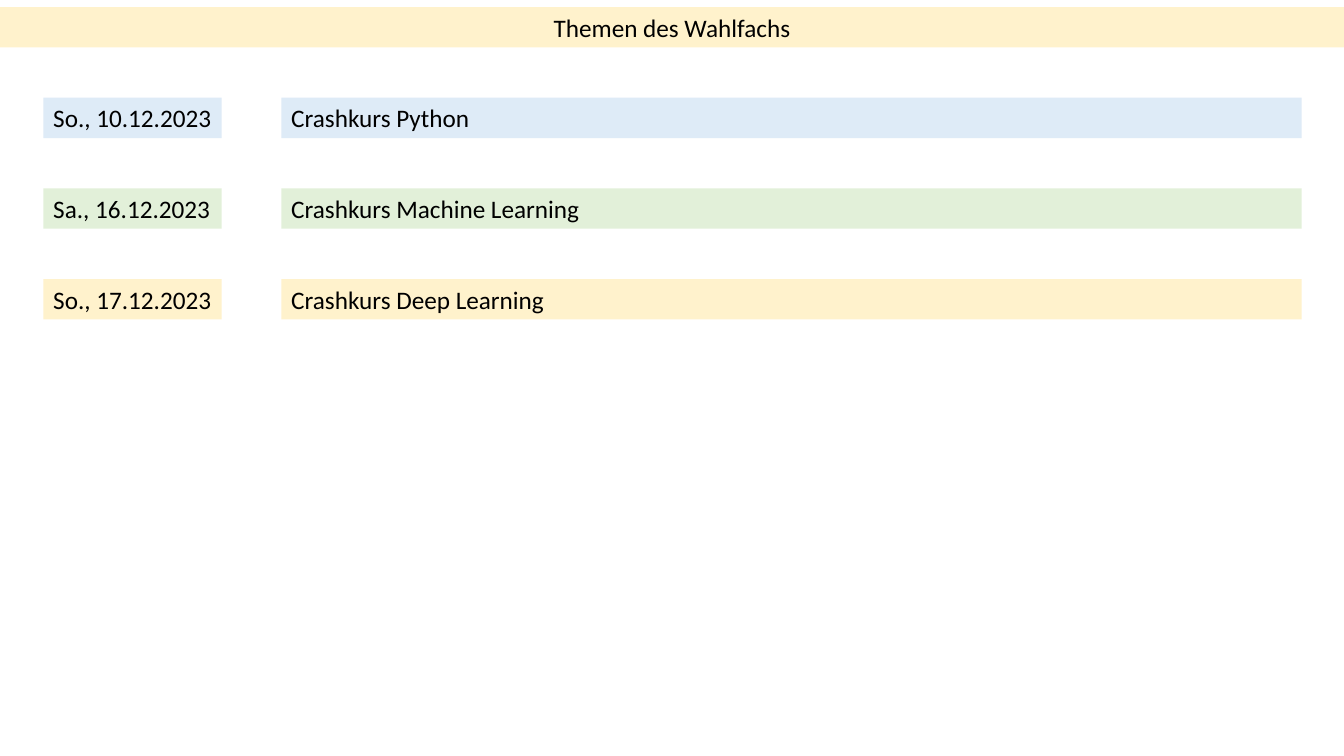
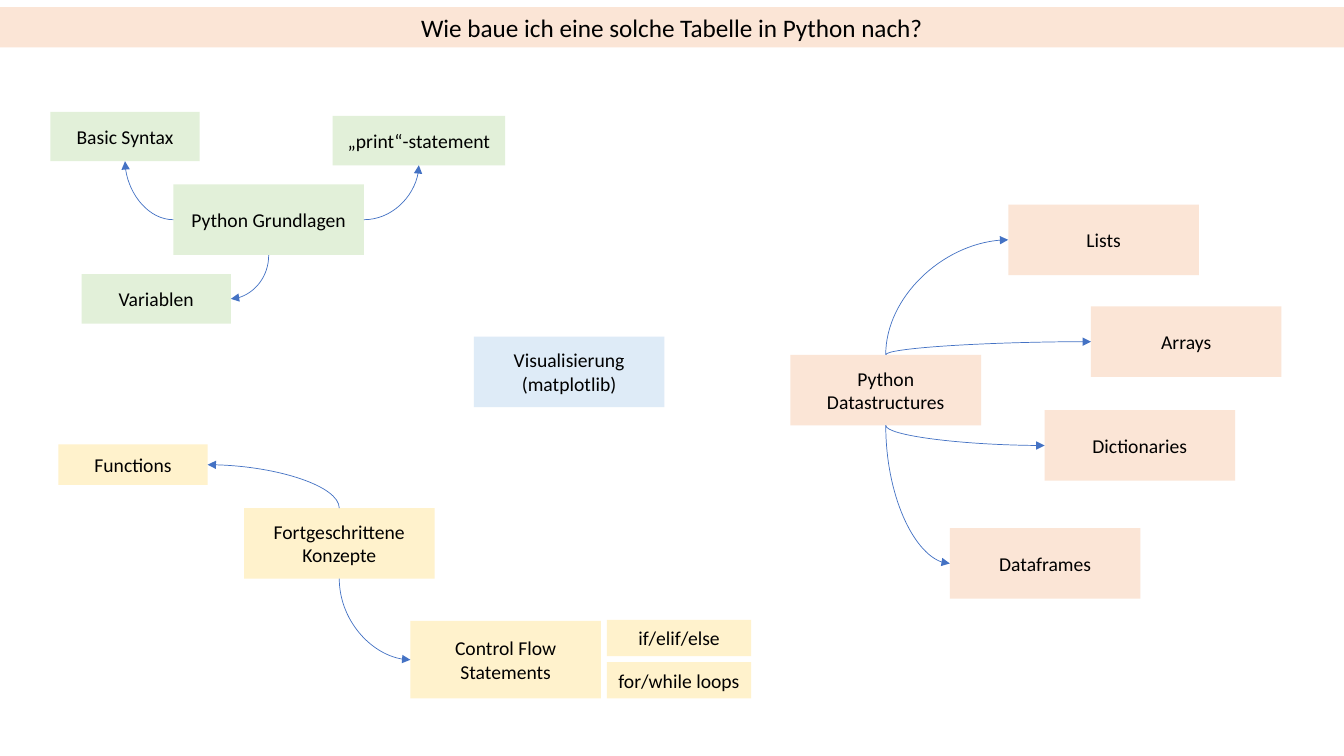
from pptx import Presentation
from pptx.dml.color import RGBColor
from pptx.enum.shapes import MSO_CONNECTOR, MSO_SHAPE
from pptx.enum.text import MSO_ANCHOR, MSO_AUTO_SIZE, PP_ALIGN
from pptx.oxml.ns import qn
from pptx.util import Inches, Pt
from lxml import etree

RECTANGLE, CURVE = MSO_SHAPE.RECTANGLE, MSO_CONNECTOR.CURVE
LEFT_ALIGN, CENTER = PP_ALIGN.LEFT, PP_ALIGN.CENTER
ANCHOR_TOP, ANCHOR_MIDDLE = MSO_ANCHOR.TOP, MSO_ANCHOR.MIDDLE
GROW, FIXED = MSO_AUTO_SIZE.SHAPE_TO_FIT_TEXT, MSO_AUTO_SIZE.NONE
TOP, LEFT, BOTTOM, RIGHT = range(4)  # connection sites of a rectangle

FONT = "Calibri"
BLACK = RGBColor(0x00, 0x00, 0x00)
BLUE = RGBColor(0xDE, 0xEB, 0xF7)
GREEN = RGBColor(0xE2, 0xF0, 0xD9)
YELLOW = RGBColor(0xFF, 0xF2, 0xCC)
ORANGE = RGBColor(0xFB, 0xE5, 0xD6)
ARROW_BLUE = RGBColor(0x44, 0x72, 0xC4)

SLIDE_WIDTH, SLIDE_HEIGHT = 13.33, 7.5
BAND_TOP, BAND_HEIGHT = 0.07, 0.4

# Content: course days
AGENDA_TITLE = "Themen des Wahlfachs"
AGENDA = [
    ("So., 10.12.2023", "Crashkurs Python", BLUE),
    ("Sa., 16.12.2023", "Crashkurs Machine Learning", GREEN),
    ("So., 17.12.2023", "Crashkurs Deep Learning", YELLOW),
]
ROW_STEP = 0.9
DATE_LEFT, DATE_WIDTH = 0.43, 1.77
TOPIC_LEFT, TOPIC_WIDTH = 2.79, 10.12

# Content: mind map, each topic with left, top and size
MAP_TITLE = "Wie baue ich eine solche Tabelle in Python nach?"
MAIN, SMALL, DETAIL = (1.89, 0.7), (1.48, 0.49), (1.43, 0.36)
TOPICS = {
    GREEN: [
        ("Python Grundlagen", 1.72, 1.83, MAIN),
        ("Basic Syntax", 0.5, 1.11, SMALL),
        ("Variablen", 0.81, 2.72, SMALL),
        ("„print“-statement", 3.3, 1.15, (1.71, 0.49)),
    ],
    YELLOW: [
        ("Functions", 0.58, 4.41, (1.48, 0.4)),
        ("Control Flow Statements", 4.07, 6.16, (1.89, 0.77)),
        ("if/elif/else", 6.02, 6.15, DETAIL),
        ("for/while loops", 6.02, 6.57, DETAIL),
        ("Fortgeschrittene Konzepte", 2.42, 5.04, MAIN),
    ],
    BLUE: [("Visualisierung\n(matplotlib)", 4.7, 3.34, MAIN)],
    ORANGE: [
        ("Python Datastructures", 7.84, 3.52, MAIN),
        ("Lists", 10, 2.03, MAIN),
        ("Dictionaries", 10.36, 4.07, MAIN),
        ("Dataframes", 9.42, 5.24, MAIN),
        ("Arrays", 10.82, 3.04, MAIN),
    ],
}
LINKS = [
    ("Python Grundlagen", LEFT, "Basic Syntax", BOTTOM),
    ("Python Grundlagen", BOTTOM, "Variablen", RIGHT),
    ("Python Grundlagen", RIGHT, "„print“-statement", BOTTOM),
    ("Fortgeschrittene Konzepte", TOP, "Functions", RIGHT),
    ("Fortgeschrittene Konzepte", BOTTOM, "Control Flow Statements", LEFT),
    ("Python Datastructures", TOP, "Lists", LEFT),
    ("Python Datastructures", TOP, "Arrays", LEFT),
    ("Python Datastructures", BOTTOM, "Dictionaries", LEFT),
    ("Python Datastructures", BOTTOM, "Dataframes", LEFT),
]


def add_box(page, text, left, top, width, height, fill, size=14, align=CENTER,
            anchor=ANCHOR_MIDDLE, fit=FIXED, wrap=True):
    box = page.shapes.add_shape(RECTANGLE, Inches(left), Inches(top),
                                Inches(width), Inches(height))
    box.shadow.inherit = False
    box.fill.solid()
    box.fill.fore_color.rgb = fill
    box.line.fill.background()
    frame = box.text_frame
    frame.text = text
    frame.word_wrap, frame.auto_size = wrap, fit
    frame.vertical_anchor = anchor
    for para in frame.paragraphs:
        para.alignment = align
        for span in para.runs:
            span.font.name, span.font.size = FONT, Pt(size)
            span.font.color.rgb = BLACK
    return box


def add_band(page, text, left, top, width, fill, align=LEFT_ALIGN, wrap=True):
    add_box(page, text, left, top, width, BAND_HEIGHT, fill, 18, align,
            ANCHOR_TOP, GROW, wrap)


def add_page(title, fill):
    page = deck.slides.add_slide(deck.slide_layouts[6])
    add_band(page, title, 0, BAND_TOP, SLIDE_WIDTH, fill, CENTER)
    return page


def add_arrow(page, start, start_site, end, end_site):
    arrow = page.shapes.add_connector(CURVE, 0, 0, 0, 0)
    arrow.begin_connect(start, start_site)
    arrow.end_connect(end, end_site)
    arrow.line.color.rgb = ARROW_BLUE
    arrow.line.width = Pt(0.5)
    properties = arrow._element.spPr
    properties.find(qn("a:prstGeom")).set("prst", "curvedConnector2")
    etree.SubElement(properties.find(qn("a:ln")), qn("a:tailEnd"), type="triangle")
    etree.SubElement(properties, qn("a:effectLst"))
    # A curve that leaves vertically is a quarter turn of one that leaves sideways
    if start_site in (TOP, BOTTOM):
        goes_right = arrow.end_x > arrow.begin_x
        goes_up = arrow.end_y < arrow.begin_y
        width, height = arrow.width, arrow.height
        arrow.left += (width - height) // 2
        arrow.top += (height - width) // 2
        arrow.width, arrow.height = height, width
        frame = properties.find(qn("a:xfrm"))
        frame.set("rot", str(90 * 60000))
        frame.set("flipH", str(int(goes_up)))
        frame.set("flipV", str(int(goes_right)))


deck = Presentation()
deck.slide_width, deck.slide_height = Inches(SLIDE_WIDTH), Inches(SLIDE_HEIGHT)

# Course days
agenda_page = add_page(AGENDA_TITLE, YELLOW)
for row, (date, topic, fill) in enumerate(AGENDA, start=1):
    top = BAND_TOP + row * ROW_STEP
    add_band(agenda_page, date, DATE_LEFT, top, DATE_WIDTH, fill, wrap=False)
    add_band(agenda_page, topic, TOPIC_LEFT, top, TOPIC_WIDTH, fill)

# Mind map
map_page = add_page(MAP_TITLE, ORANGE)
boxes = {}
for fill, topics in TOPICS.items():
    for text, left, top, size in topics:
        boxes[text] = add_box(map_page, text, left, top, *size, fill)
for start, start_site, end, end_site in LINKS:
    add_arrow(map_page, boxes[start], start_site, boxes[end], end_site)

deck.save("out.pptx")
